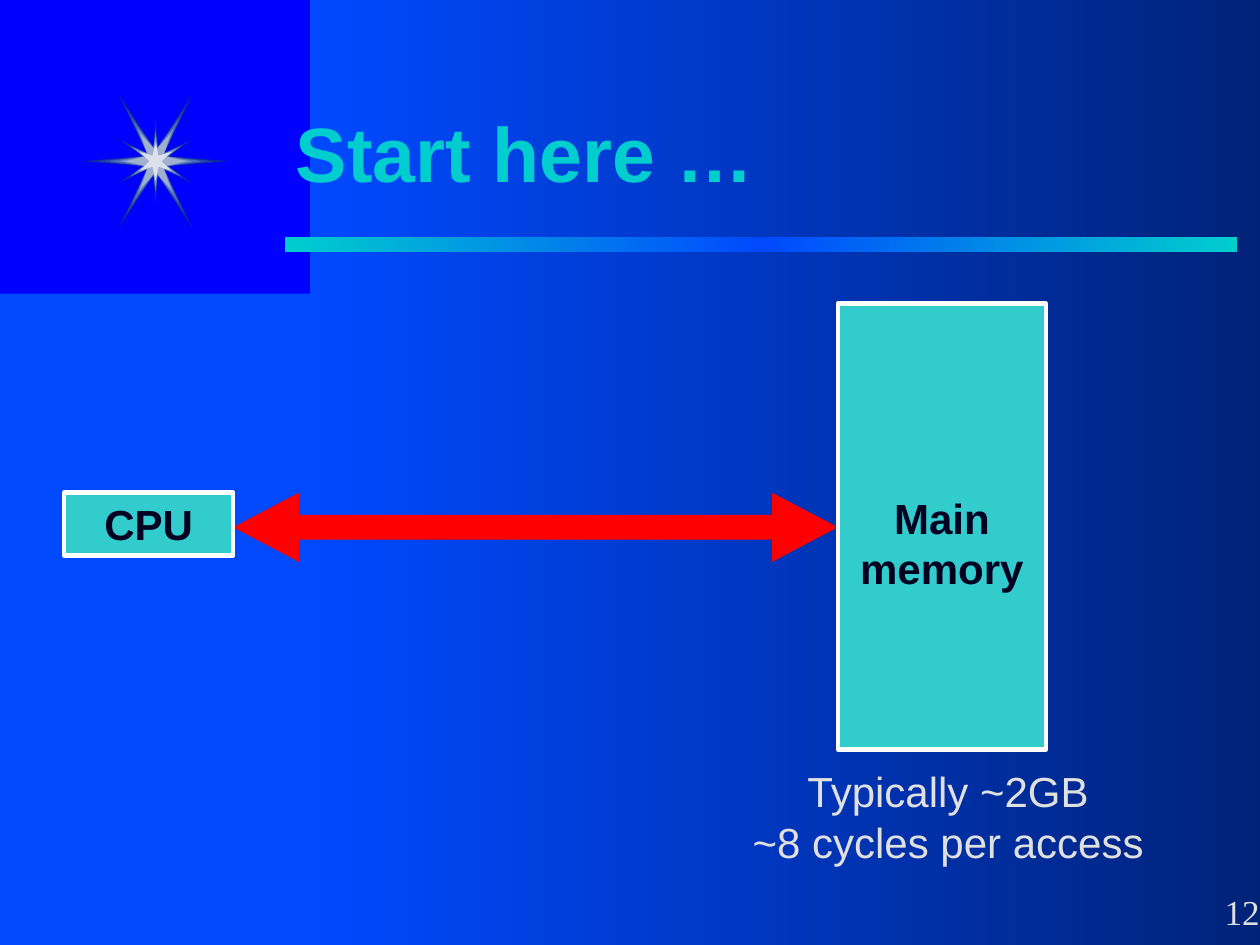
from collections import namedtuple
from copy import deepcopy
from dataclasses import dataclass

from lxml.etree import SubElement
from pptx import Presentation
from pptx.dml.color import RGBColor
from pptx.enum.shapes import MSO_SHAPE
from pptx.enum.text import MSO_ANCHOR, PP_ALIGN
from pptx.oxml.ns import qn
from pptx.util import Inches, Pt


@dataclass(frozen=True)
class Theme:
    """Colours, fonts and type sizes of the slide."""
    back: str = "0000FF"
    panel: str = "0049FF"
    deep: str = "002276"
    accent: str = "00CECE"
    box: str = "33CCCC"
    edge: str = "FFFFFF"
    arrow: str = "FF0000"
    ink: str = "000020"
    light: str = "E0E0E0"
    sans: str = "Arial"
    serif: str = "Times New Roman"
    title: int = 44
    body: int = 24
    number: int = 20
    border: float = 2.5


T = Theme()

WIDE, THIN = "wide", "thin"
STAR_LAYERS = [
    (WIDE, 100, "0B2B9E"), (THIN, 48, "102FA1"), (WIDE, 80, "2645AC"),
    (THIN, 35, "4464B9"), (WIDE, 65, "4464B9"), (THIN, 33, "4E6EBC"),
    (WIDE, 61, "4E6EBC"), (THIN, 32, "5A79C0"), (THIN, 28, "7992C6"),
    (WIDE, 49, "7992C6"), (WIDE, 41, "A0B0CE"), (THIN, 22, "D9D9D9"),
    (THIN, 20, "DCE0ED"),
]


class Box(namedtuple("Box", "x y w h")):
    """A rectangle in EMU."""

    def sub(self, x, y, w, h):
        """Return a part of this box given in percent of its size."""
        return Box(int(self.x + self.w * x / 100), int(self.y + self.h * y / 100),
                   int(self.w * w / 100), int(self.h * h / 100))


def rgb(value):
    """Turn a hex string into a colour."""
    return RGBColor.from_string(value)


def add_shape(s, box, fill, kind=MSO_SHAPE.RECTANGLE, line=None):
    """Add a preset shape; several fill colours make a left-to-right gradient."""
    sp = s.shapes.add_shape(kind, *box)
    sp.shadow.inherit = False
    if isinstance(fill, str):
        sp.fill.solid()
        sp.fill.fore_color.rgb = rgb(fill)
    else:
        sp.fill.gradient()
        sp.fill.gradient_angle = 0
        stops = sp._element.spPr.find(".//" + qn("a:gsLst"))
        while len(stops) < len(fill):
            stops.append(deepcopy(stops[0]))
        for i, (stop, color) in enumerate(zip(sp.fill.gradient_stops, fill)):
            stop.color.rgb = rgb(color)
            stop.position = i / (len(fill) - 1)
    if line:
        sp.line.color.rgb = rgb(line)
        sp.line.width = Pt(T.border)
    else:
        sp.line.fill.background()
    return sp


def write(sp, lines, size, color, font=T.sans, bold=False,
          align=PP_ALIGN.LEFT, **frame):
    """Write one paragraph of broken lines and return its runs."""
    tf = sp.text_frame
    for key, value in {"word_wrap": True, "vertical_anchor": MSO_ANCHOR.TOP, **frame}.items():
        setattr(tf, key, value)
    p = tf.paragraphs[0]
    p.alignment = align
    runs = []
    for i, line in enumerate(lines):
        if i:
            p.add_line_break()
        r = p.add_run()
        r.text = line
        for key, value in {"size": Pt(size), "name": font, "bold": bold}.items():
            setattr(r.font, key, value)
        r.font.color.rgb = rgb(color)
        runs.append(r)
    return runs


def add_text_shadow(r):
    """Give a run a small dark shadow."""
    effects = r._r.rPr.makeelement(qn("a:effectLst"), {})
    r._r.rPr.find(qn("a:solidFill")).addnext(effects)
    shadow = SubElement(effects, qn("a:outerShdw"), dist="38100", dir="2700000")
    SubElement(shadow, qn("a:srgbClr"), val=T.deep)


def star_points(kind, rx, ry, unit_x, unit_y):
    """Return the outline of a six-pointed star around the origin."""
    if kind == WIDE:
        tips = [(-rx / 2, -ry), (rx / 2, -ry), (rx, 0), (rx / 2, ry), (-rx / 2, ry), (-rx, 0)]
        dents = [(0, -2), (1, -1), (1, 1), (0, 2), (-1, 1), (-1, -1)]
        dx, dy = 5 * unit_x, 4 * unit_y
    else:
        tips = [(-rx, -ry / 2), (0, -ry), (rx, -ry / 2), (rx, ry / 2), (0, ry), (-rx, ry / 2)]
        dents = [(-1, -1), (1, -1), (2, 0), (1, 1), (-1, 1), (-2, 0)]
        dx, dy = 2 * unit_x, 4 * unit_y
    inner = [(a * dx, b * dy) for a, b in dents]
    return [pt for pair in zip(tips, inner) for pt in pair]


def add_star(s, box):
    """Stack the layers of the shining star in a box."""
    cx, cy = box.x + box.w / 2, box.y + box.h / 2
    for kind, share, color in STAR_LAYERS:
        rx = box.w * share / 200
        ry = box.h * share / 200 if kind == WIDE else 1.2 * rx
        pts = [(round(cx + x), round(cy + y))
               for x, y in star_points(kind, rx, ry, box.w / 100, box.h / 100)]
        builder = s.shapes.build_freeform(*pts[0], scale=1.0)
        builder.add_line_segments(pts[1:], close=True)
        sp = builder.convert_to_shape()
        sp.shadow.inherit = False
        sp.fill.solid()
        sp.fill.fore_color.rgb = rgb(color)
        sp.line.fill.background()


def add_backdrop(s, box):
    """Place the panels, the rule, the star and the slide number."""
    add_shape(s, box.sub(0, 31.07, 24.6, 68.93), T.panel)
    add_shape(s, box.sub(24.6, 0, 77.3, 100), (T.panel, T.deep))
    add_shape(s, box.sub(22.6, 25.07, 75.6, 1.6), (T.accent, T.panel, T.accent))
    add_star(s, box.sub(6.5, 10, 11.7, 14.13))
    number = s.shapes.add_textbox(*box.sub(96.2, 93.6, 5.5, 5.87))
    write(number, ["12"], T.number, T.light, T.serif)


def add_title(s, box, text):
    """Place the title in a box."""
    sp = s.shapes.add_textbox(*box)
    for r in write(sp, [text], T.title, T.accent, bold=True,
                   vertical_anchor=MSO_ANCHOR.MIDDLE):
        add_text_shadow(r)


def add_diagram(s, box):
    """Place the processor, the memory, the arrow between them and the caption."""
    arrow = add_shape(s, box.sub(15.46, 33.19, 55.36, 12.17), T.arrow,
                      MSO_SHAPE.LEFT_RIGHT_ARROW)
    arrow.adjustments[0], arrow.adjustments[1] = 0.36, 0.95
    parts = [
        ("CPU", (0, 33.19, 15.46, 11.06), {}),
        ("Main memory", (70.82, 0, 19.03, 78.32),
         {"vertical_anchor": MSO_ANCHOR.MIDDLE, "margin_top": Inches(0.3)}),
    ]
    for label, place, frame in parts:
        sp = add_shape(s, box.sub(*place), T.box, line=T.edge)
        write(sp, [label], T.body, T.ink, bold=True, align=PP_ALIGN.CENTER, **frame)
    caption = s.shapes.add_textbox(*box.sub(61.82, 80.09, 38.18, 19.91))
    write(caption, ["Typically ~2GB", "~8 cycles per access"], T.body, T.light,
          align=PP_ALIGN.CENTER)


def main():
    """Build and save the slide."""
    prs = Presentation()
    prs.slide_width, prs.slide_height = Inches(10), Inches(7.5)
    s = prs.slides.add_slide(prs.slide_layouts[6])
    s.background.fill.solid()
    s.background.fill.fore_color.rgb = rgb(T.back)
    page = Box(0, 0, prs.slide_width, prs.slide_height)
    add_backdrop(s, page)
    add_title(s, page.sub(22.5, 7.73, 75.8, 16.67), "Start here …")
    add_diagram(s, page.sub(5.1, 32.13, 86.7, 60.27))
    prs.save("out.pptx")


if __name__ == "__main__":
    main()
